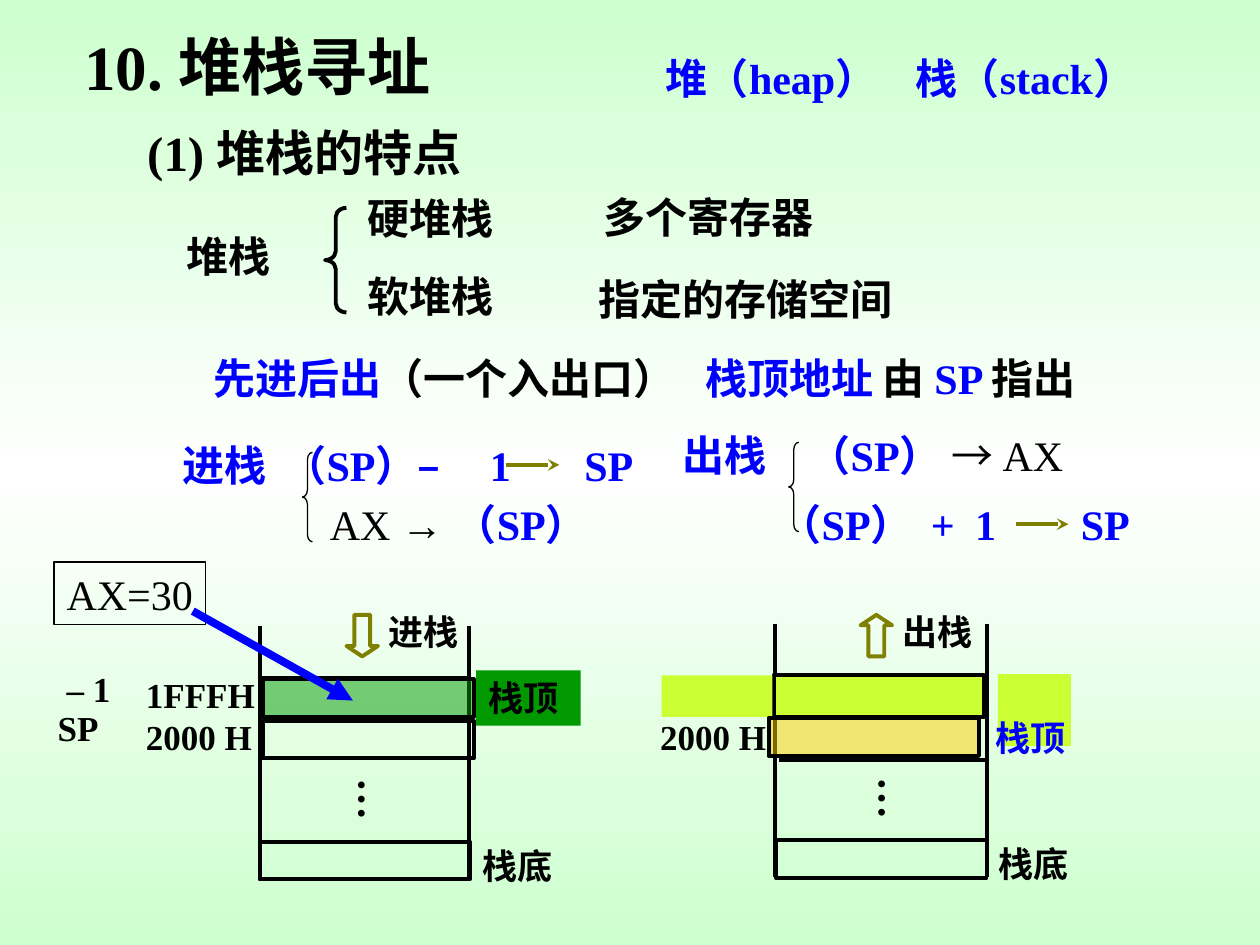
from copy import deepcopy
from typing import NamedTuple, Optional

from pptx import Presentation
from pptx import util as u
from pptx.dml.color import RGBColor
from pptx.enum import shapes, text
from pptx.oxml import ns, xmlchemy

BLACK = RGBColor(0x00, 0x00, 0x00)
BLUE = RGBColor(0x00, 0x00, 0xFF)
OLIVE = RGBColor(0x80, 0x80, 0x00)
GREEN = RGBColor(0x00, 0x99, 0x00)
LIME = RGBColor(0xCC, 0xFF, 0x33)
GOLD = RGBColor(0xFF, 0xCC, 0x00)
MINT = RGBColor(0xCD, 0xFF, 0xCE)
WHITE = RGBColor(0xFF, 0xFF, 0xFF)
SERIF = "Times New Roman"
KIND = shapes.MSO_SHAPE


class Run(NamedTuple):
    words: str
    color: RGBColor = BLACK
    bold: bool = True
    font: str = SERIF


class Label(NamedTuple):
    x: float
    y: float
    w: float
    h: float
    size: int
    runs: tuple
    inset: float = 0.1


class Block(NamedTuple):
    x: float
    y: float
    w: float
    h: float
    fill: Optional[RGBColor] = None
    line: Optional[RGBColor] = BLACK
    weight: float = 2.25
    alpha: int = 100
    kind: int = KIND.RECTANGLE
    adjust: tuple = ()
    rotation: int = 0


class Line(NamedTuple):
    x1: float
    y1: float
    x2: float
    y2: float
    color: RGBColor = BLACK
    weight: float = 2.25
    head: str = ""


def add_xml(parent, tag: str, **attrs: str):
    child = xmlchemy.OxmlElement(tag)
    for name, value in attrs.items():
        child.set(name, value)
    parent.append(child)
    return child


def write(tf, runs: tuple, size: int, inset: float = 0.1) -> None:
    frame = {"word_wrap": True, "vertical_anchor": text.MSO_ANCHOR.TOP,
             "margin_left": u.Inches(inset), "margin_right": u.Inches(inset),
             "margin_top": u.Inches(0.05), "margin_bottom": u.Inches(0.05)}
    for name, value in frame.items():
        setattr(tf, name, value)
    p = tf.paragraphs[0]
    p.alignment = text.PP_ALIGN.LEFT
    for run in runs:
        r = p.add_run()
        r.text = run.words
        look = {"name": run.font, "size": u.Pt(size), "bold": run.bold}
        for name, value in look.items():
            setattr(r.font, name, value)
        r.font.color.rgb = run.color


def add_label(s, d: Label):
    sp = s.shapes.add_textbox(*map(u.Inches, d[:4]))
    write(sp.text_frame, d.runs, d.size, d.inset)
    return sp


def add_block(s, d: Block):
    sp = s.shapes.add_shape(d.kind, *map(u.Inches, d[:4]))
    sp.shadow.inherit = False
    sp.rotation = d.rotation
    for i, value in enumerate(d.adjust):
        sp.adjustments[i] = value
    if d.fill is None:
        sp.fill.background()
    else:
        sp.fill.solid()
        sp.fill.fore_color.rgb = d.fill
        if d.alpha < 100:
            color = sp.fill._xPr.find(ns.qn("a:solidFill"))[0]
            add_xml(color, "a:alpha", val=str(d.alpha * 1000))
    if d.line is None:
        sp.line.fill.background()
    else:
        sp.line.color.rgb = d.line
        sp.line.width = u.Pt(d.weight)
    return sp


def add_line(s, d: Line) -> None:
    sp = s.shapes.add_connector(shapes.MSO_CONNECTOR.STRAIGHT, *map(u.Inches, d[:4]))
    sp.line.color.rgb = d.color
    sp.line.width = u.Pt(d.weight)
    if d.head:
        add_xml(sp.line._get_or_add_ln(), "a:tailEnd", type=d.head)
    add_xml(sp._element.spPr, "a:effectLst")


def add_dots(s, x: float, y: float) -> None:
    sp = add_label(s, Label(x, y, 0.6, 0.44, 24, (Run("…"),), 0.05))
    tf = sp.text_frame
    tf.word_wrap = False
    tf.margin_top = tf.margin_bottom = u.Inches(0.1)
    tf._txBody.bodyPr.set("vert", "eaVert")


def paint_background(s) -> None:
    fill = s.background.fill
    fill.gradient()
    fill.gradient_angle = 90
    stops = s.element.xpath(".//p:bg//a:gs")
    stops[0].addnext(deepcopy(stops[0]))
    for stop, position, color in zip(fill.gradient_stops, (0, 0.5, 1), (MINT, WHITE, MINT)):
        stop.position = position
        stop.color.rgb = color


SP = (Run("（SP）", BLUE),)
HEADINGS = [
    Label(0.57, 0.17, 3.88, 0.7, 36, (Run("10. 堆栈寻址"),)),
    Label(1.07, 0.92, 4.35, 0.57, 28, (Run("(1) 堆栈的特点"),)),
    Label(5.18, 0.37, 2.1, 0.5, 24, (Run("堆（heap）", BLUE),)),
    Label(7.17, 0.37, 2.2, 0.5, 24, (Run("栈（stack）", BLUE),)),
    Label(1.38, 1.78, 1.12, 0.5, 24, (Run("堆栈"),)),
    Label(2.82, 1.48, 1.48, 0.5, 24, (Run("硬堆栈"),)),
    Label(2.82, 2.1, 1.48, 0.5, 24, (Run("软堆栈"),)),
    Label(4.69, 1.47, 3.5, 0.5, 24, (Run("多个寄存器"),)),
    Label(4.65, 2.12, 3.58, 0.5, 24, (Run("指定的存储空间"),)),
    Label(1.6, 2.75, 4, 0.5, 24, (Run("先进后出", BLUE), Run("（一个入出口）"))),
    Label(5.5, 2.75, 3.7, 0.5, 24, (Run("栈顶地址 ", BLUE), Run("由 "),
                                    Run("SP ", BLUE), Run("指出"))),
]
OPERATIONS = [
    # Push
    Label(1.35, 3.44, 0.9, 0.5, 24, (Run("进栈", BLUE),)),
    Label(2.16, 3.44, 1.6, 0.5, 24, (Run("（SP）–", BLUE),)),
    Label(3.79, 3.44, 0.4, 0.5, 24, (Run("1", BLUE),)),
    Label(4.54, 3.44, 0.7, 0.5, 24, (Run("SP", BLUE),)),
    Label(2.52, 3.91, 2.7, 0.5, 24, (Run("AX ", bold=False),
                                     Run("→ ", bold=False, font="Arial"), *SP)),
    # Pop
    Label(5.32, 3.36, 0.9, 0.5, 24, (Run("出栈", BLUE),)),
    Label(6.32, 3.36, 2.7, 0.5, 24, (Run("（SP） ", BLUE),
                                     Run("→ ", bold=False, font="Arial"),
                                     Run("AX", bold=False))),
    Label(6.09, 3.91, 1.6, 0.5, 24, SP),
    Label(7.29, 3.91, 0.4, 0.5, 24, (Run("+", BLUE),)),
    Label(7.64, 3.91, 0.4, 0.5, 24, (Run("1", BLUE),)),
    Label(8.48, 3.91, 0.7, 0.5, 24, (Run("SP", BLUE),)),
]
BRACES = [
    Block(2.58, 1.65, 0.17, 0.83, kind=KIND.LEFT_BRACE, adjust=(0.42, 0.5)),
    *(Block(x, y, 0.08, 0.71, weight=0.75, kind=KIND.LEFT_BRACE, adjust=(0.72, 0.5))
      for x, y in ((2.4, 3.59), (6.26, 3.51))),
]
STACK_LABELS = [
    Label(x, y, 1.3, 0.44, 20, (Run(words),)) for x, y, words in (
        (0.43, 5.25, "– 1"), (0.36, 5.56, "SP"), (1.06, 5.3, "1FFFH"),
        (1.06, 5.63, "2000 H"), (5.14, 5.63, "2000 H"),
        (3.73, 6.65, "栈底"), (7.83, 6.64, "栈底"))
]
LINES = [
    Line(4.02, 3.69, 4.44, 3.69, OLIVE, head="stealth"),
    Line(8.06, 4.16, 8.48, 4.16, OLIVE, head="stealth"),
    *(Line(x, y, x, y + 2.01) for x, y in
      ((2.06, 4.97), (3.72, 4.97), (6.15, 4.95), (7.83, 4.95))),
    Line(2.08, 5.38, 3.72, 5.38),
    Line(6.18, 6.03, 7.82, 6.03),
]
CELLS = [
    Block(2.09, 5.72, 1.67, 0.3),
    Block(2.06, 6.68, 1.67, 0.3),
    Block(6.16, 5.37, 1.67, 0.3, BLACK, alpha=50),
    Block(6.16, 6.67, 1.67, 0.3),
    Block(2.09, 5.39, 1.67, 0.3, GREEN, alpha=50),
    Block(6.14, 5.36, 1.67, 0.33, LIME),
    Block(7.92, 5.35, 0.58, 0.57, LIME, None),
    Block(5.25, 5.36, 0.88, 0.33, LIME, None),
    Block(6.1, 5.7, 1.67, 0.3, GOLD, alpha=50),
]


def main() -> None:
    prs = Presentation()
    prs.slide_width, prs.slide_height = u.Inches(10), u.Inches(7.5)
    s = prs.slides.add_slide(prs.slide_layouts[6])
    paint_background(s)

    # Headings and push / pop rules
    for label in HEADINGS + OPERATIONS + STACK_LABELS:
        add_label(s, label)
    for brace in BRACES:
        add_block(s, brace)

    # Two stacks
    for line in LINES:
        add_line(s, line)
    for cell in CELLS:
        add_block(s, cell)
    add_dots(s, 2.63, 6.08)
    add_dots(s, 6.76, 6.07)

    # Direction arrows
    for x, words, rotation in ((2.75, "进栈", 0), (6.83, "出栈", 180)):
        add_block(s, Block(x, 4.88, 0.25, 0.33, line=OLIVE, kind=KIND.DOWN_ARROW,
                           adjust=(0.5, 0.33), rotation=rotation))
        add_label(s, Label(x + 0.33, 4.8, 0.92, 0.44, 20, (Run(words),), 0))

    # Stack tops
    sp = add_block(s, Block(3.78, 5.32, 0.83, 0.44, GREEN, None))
    write(sp.text_frame, (Run("栈顶"),), 20)
    add_label(s, Label(7.8, 5.64, 0.83, 0.44, 20, (Run("栈顶", BLUE),)))

    # Value being pushed
    sp = add_block(s, Block(0.43, 4.46, 1.2, 0.5, weight=0.75))
    write(sp.text_frame, (Run("AX=30", bold=False),), 24)
    sp.text_frame.word_wrap = False
    add_line(s, Line(1.53, 4.85, 2.8, 5.56, BLUE, 4.5, "triangle"))

    prs.save("out.pptx")


if __name__ == "__main__":
    main()
